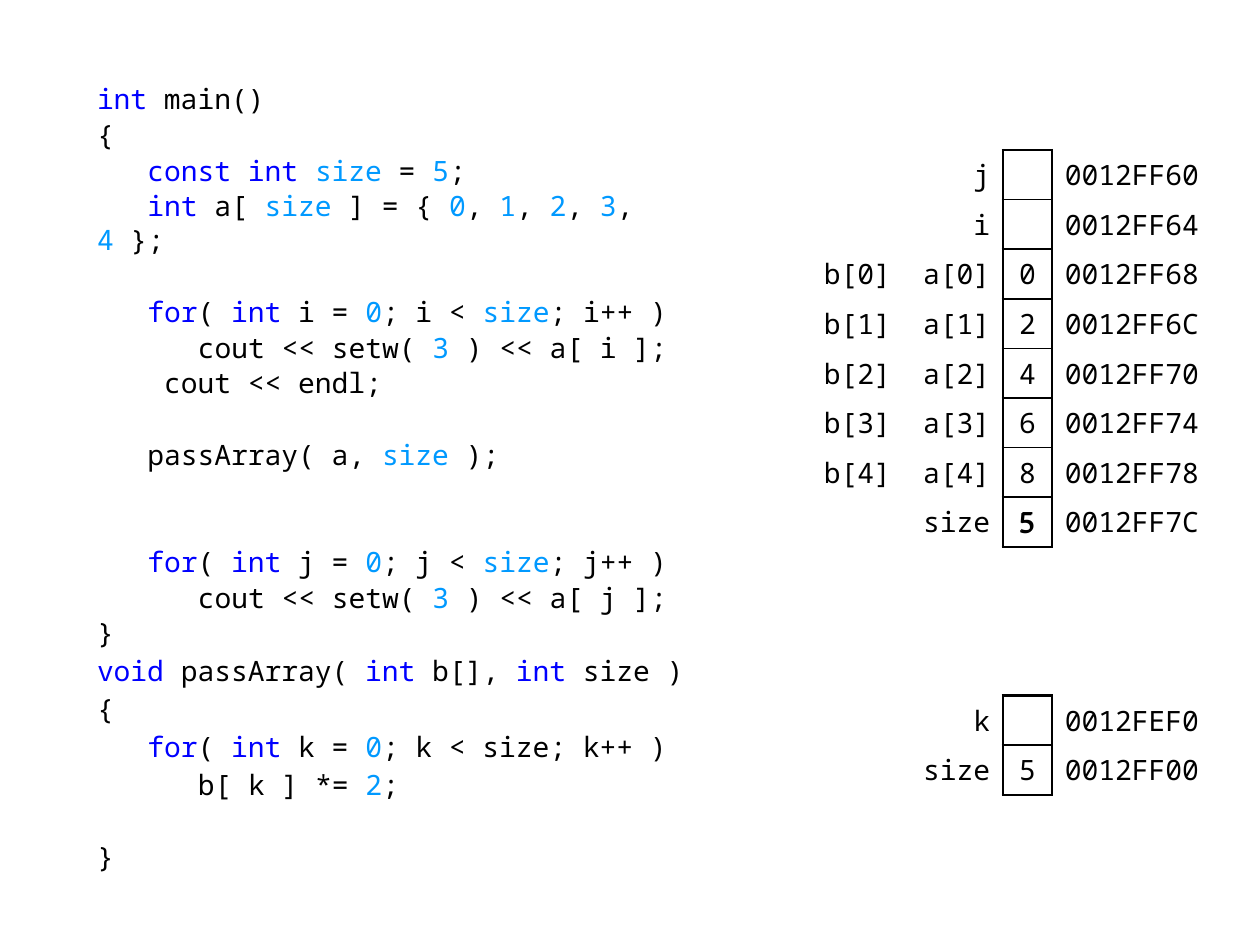
import pptx
import pptx.dml.color
import pptx.enum.text
import pptx.oxml.ns
import pptx.util
from lxml import etree

Inches, Pt = pptx.util.Inches, pptx.util.Pt
qn = pptx.oxml.ns.qn
ALIGN = pptx.enum.text.PP_ALIGN
MIDDLE = pptx.enum.text.MSO_ANCHOR.MIDDLE

THEME = {
    "font": "Noto Sans Mono", "size": 16,
    "plain": "000000", "keyword": "0000FF", "literal": "0099FF",
    "outer": 1.5, "inner": 1,
    "no_style": "{2D5ABB26-0587-4C30-8999-92F81FD0307C}",
}
CHAR = 0.6 * THEME["size"]  # advance of one monospaced letter, in points
ROW = 3.15 / 8              # grid unit of the memory tables, in inches


def add_run(p, text, color="plain"):
    r = p.add_run()
    r.text = text
    for name, value in {"name": THEME["font"], "size": Pt(THEME["size"])}.items():
        setattr(r.font, name, value)
    r.font.color.rgb = pptx.dml.color.RGBColor.from_string(THEME[color])


def add_border(cell, side, width):
    """Draw one side (L, R, T or B) of a cell."""
    ln = etree.SubElement(cell._tc.get_or_add_tcPr(), qn(f"a:ln{side}"), w=str(Pt(width)))
    fill = etree.SubElement(ln, qn("a:solidFill"))
    etree.SubElement(fill, qn("a:srgbClr"), val=THEME["plain"])


prs = pptx.Presentation()
prs.slide_width, prs.slide_height = Inches(10), Inches(7.5)
s = prs.slides.add_slide(prs.slide_layouts[1])
title = s.shapes.title._element
title.getparent().remove(title)

# Code: indent in letters, space before in points, text with `keywords` and ~literals~
MAIN, PASS = 1.2, 2.5
CODE = [
    (0, MAIN, "`int` main()"),
    (0, MAIN, "{"),
    (3, MAIN, "`const int `~size~ = ~5~;"),
    (3, MAIN, "`int` a[ ~size~ ] = { ~0~, ~1~, ~2~, ~3~, ~4~ };"),
    (3, MAIN + 20.8, "`for`( `int` i = ~0~; i < ~size~; i++ )"),
    (6, MAIN, "cout << setw( ~3~ ) << a[ i ];"),
    (4, MAIN, "cout << endl;"),
    (3, MAIN + 20.8, "passArray( a, ~size~ );"),
    (3, MAIN + 40.4, "`for`( `int` j = ~0~; j < ~size~; j++ )"),
    (6, MAIN, "cout << setw( ~3~ ) << a[ j ];"),
    (0, MAIN, "}"),
    (0, PASS, "`void `passArray( `int `b[], `int` size )"),
    (0, PASS, "{"),
    (3, PASS, "`for`( `int` k = ~0~; k < size; k++ )"),
    (6, PASS, "b[ k ] *= ~2~;"),
    (0, PASS + 19.6, "}"),
]
body = s.placeholders[1]
for name, value in {"left": 0.67, "top": 0.6, "width": 5.12, "height": 5.91}.items():
    setattr(body, name, Inches(value))
tf = body.text_frame
tf.auto_size = pptx.enum.text.MSO_AUTO_SIZE.NONE
for i, (indent, gap, line) in enumerate(CODE):
    p = tf.add_paragraph() if i else tf.paragraphs[0]
    p.line_spacing, p.space_before = 1.0, Pt(gap)
    pPr = p._p.get_or_add_pPr()
    pPr.set("marL", "0")
    pPr.set("indent", str(Pt(indent * CHAR)))
    etree.SubElement(pPr, qn("a:buNone"))
    for j, part in enumerate(line.split("`")):
        for k, text in enumerate(part.split("~")):
            if text:
                add_run(p, text, "keyword" if j % 2 else "literal" if k % 2 else "plain")

# Memory: the last two columns are always value and address
MAIN_ROWS = [("", "j", "", "0012FF60"), ("", "i", "", "0012FF64")]
MAIN_ROWS += [(f"b[{n}]", f"a[{n}]", str(2 * n), address) for n, address in
              enumerate(["0012FF68", "0012FF6C", "0012FF70", "0012FF74", "0012FF78"])]
MAIN_ROWS += [("", "size", "5", "0012FF7C")]
PASS_ROWS = [("k", "", "0012FEF0"), ("size", "5", "0012FF00")]
WIDTHS = [2, 2, 1, 3.5]
RIGHT = 9.73

for top, rows in [(1.19, MAIN_ROWS), (5.52, PASS_ROWS)]:
    cols = len(rows[0])
    widths = [w * ROW for w in WIDTHS[-cols:]]
    frame = s.shapes.add_table(len(rows), cols, Inches(RIGHT - sum(widths)), Inches(top),
                               Inches(sum(widths)), Inches(ROW * len(rows)))
    table = frame.table
    table.first_row = table.horz_banding = False
    table._tbl.tblPr.find(qn("a:tableStyleId")).text = THEME["no_style"]
    for column, width in zip(table.columns, widths):
        column.width = Inches(width)
    for y, row in enumerate(rows):
        table.rows[y].height = Inches(ROW)
        for x, text in enumerate(row):
            cell = table.cell(y, x)
            place = x - cols  # -2 is the value, -1 the address
            left, right, align = {-2: (0.1, 0.1, ALIGN.CENTER), -1: (0.1, 0.08, ALIGN.LEFT)}.get(
                place, (0.08, 0.1, ALIGN.RIGHT))
            for name, value in {"margin_left": Inches(left), "margin_right": Inches(right),
                                "margin_top": Inches(0.04), "margin_bottom": Inches(0.04),
                                "vertical_anchor": MIDDLE}.items():
                setattr(cell, name, value)
            p = cell.text_frame.paragraphs[0]
            p.alignment = align
            if text:
                add_run(p, text)
            else:
                etree.SubElement(p._p, qn("a:endParaRPr"), sz=str(THEME["size"] * 100))
            for side in {-3: "R", -2: "LRTB", -1: "L"}.get(place, ""):
                edge = (side in "LR" or (side == "T" and y == 0)
                        or (side == "B" and y == len(rows) - 1))
                add_border(cell, side, THEME["outer" if edge else "inner"])
            cell.fill.background()

# Value of size, set over its cell
sp = s.shapes.add_textbox(Inches(7.95), Inches(3.95), Inches(ROW), Inches(ROW))
tf = sp.text_frame
tf.word_wrap, tf.vertical_anchor = True, MIDDLE
p = tf.paragraphs[0]
p.alignment = ALIGN.CENTER
add_run(p, "5")

prs.save("out.pptx")
